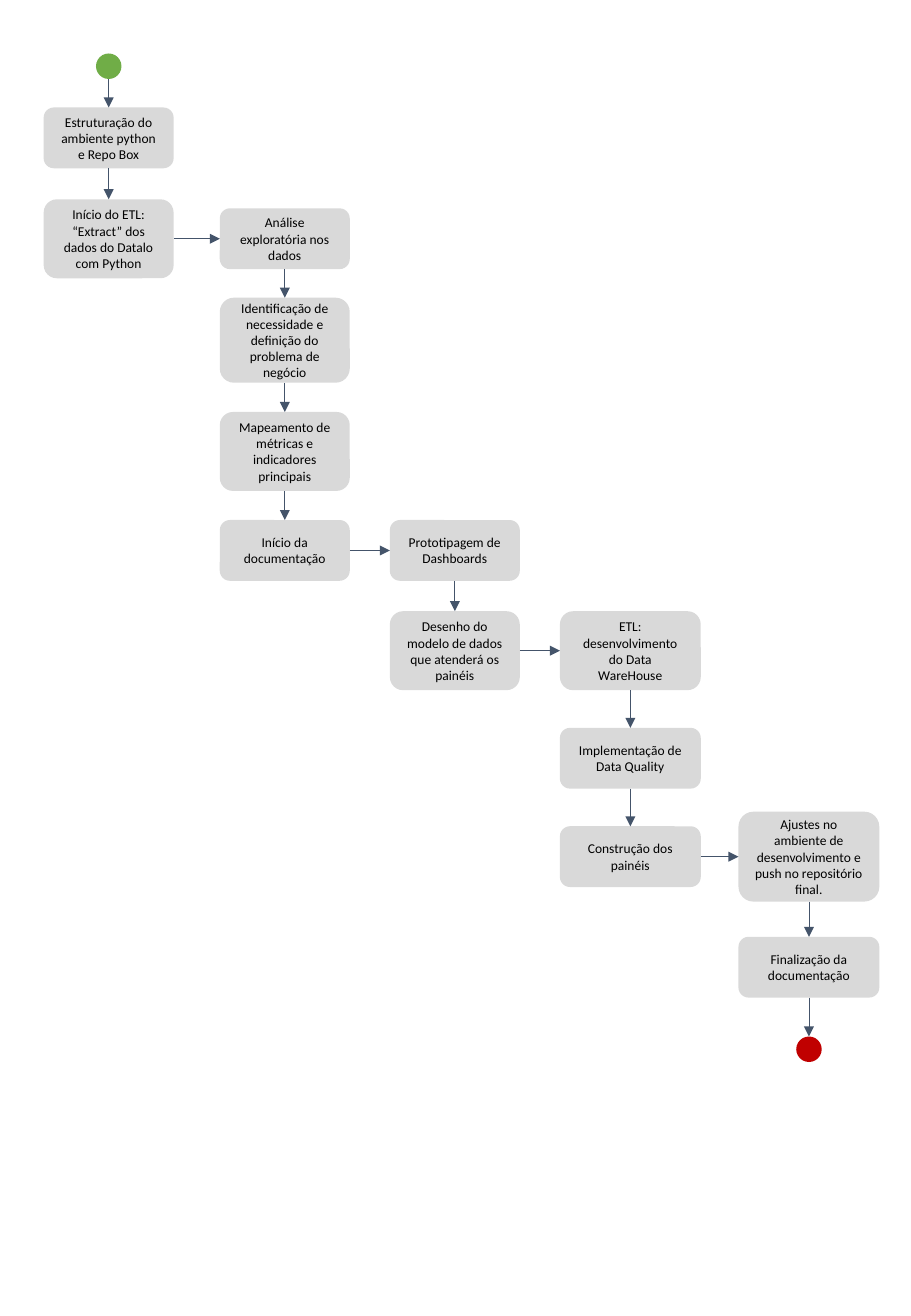
from lxml import etree
from pptx import Presentation, util as u
from pptx.dml.color import RGBColor
from pptx.enum import shapes, text
from pptx.oxml.ns import qn

COLOURS = {"start": "70AD47", "end": "C00000", "step": "D9D9D9", "arrow": "44546A", "text": "000000"}
EMU_PER_PX = 4572
TOP, LEFT, BOTTOM, RIGHT = range(4)
COLUMNS = [(72, 214), (362, 214), (642, 214), (922, 232), (1216, 232)]
DOT_SIZE = 42
STEPS = [
    (0, 177, 100, ["Estruturação do ambiente python e Repo Box"]),
    (0, 328, 130, ["Início do ETL:", "“Extract” dos dados do Datalo com Python"]),
    (1, 343, 100, ["Análise exploratória nos dados"]),
    (1, 490, 140, ["Identificação de necessidade e definição do problema de negócio"]),
    (1, 678, 130, ["Mapeamento de métricas e indicadores principais"]),
    (1, 856, 100, ["Início da documentação"]),
    (2, 856, 100, ["Prototipagem de Dashboards"]),
    (2, 1006, 130, ["Desenho do modelo de dados que atenderá os painéis"]),
    (3, 1006, 130, ["ETL: desenvolvimento do Data WareHouse"]),
    (3, 1198, 100, ["Implementação de Data Quality"]),
    (3, 1360, 100, ["Construção dos painéis"]),
    (4, 1336, 148, ["Ajustes no ambiente de desenvolvimento e push no repositório final."]),
    (4, 1542, 100, ["Finalização da documentação"]),
]


def px(length):
    return u.Emu(length * EMU_PER_PX)


class FlowSlide:
    font_name = "Calibri"
    font_size = u.Pt(8)
    line_width = u.Pt(0.5)

    def __init__(self, presentation):
        self.slide = presentation.slides.add_slide(presentation.slide_layouts[6])

    def colour(self, name):
        return RGBColor.from_string(COLOURS[name])

    def shape(self, kind, left, top, width, height, fill):
        shape = self.slide.shapes.add_shape(kind, px(left), px(top), px(width), px(height))
        shape.shadow.inherit = False
        shape.fill.solid()
        shape.fill.fore_color.rgb = self.colour(fill)
        shape.line.fill.background()
        return shape

    def dot(self, column, top, fill):
        left, width = COLUMNS[column]
        return self.shape(shapes.MSO_SHAPE.OVAL, left + (width - DOT_SIZE) // 2, top,
                          DOT_SIZE, DOT_SIZE, fill)

    def step(self, column, top, height, lines):
        left, width = COLUMNS[column]
        shape = self.shape(shapes.MSO_SHAPE.ROUNDED_RECTANGLE, left, top, width, height, "step")
        frame = shape.text_frame
        frame.word_wrap = True
        frame.vertical_anchor = text.MSO_ANCHOR.MIDDLE
        for index, line in enumerate(lines):
            paragraph = frame.add_paragraph() if index else frame.paragraphs[0]
            paragraph.alignment = text.PP_ALIGN.CENTER
            run = paragraph.add_run()
            run.text = line
            run.font.name = self.font_name
            run.font.size = self.font_size
            run.font.color.rgb = self.colour("text")
        return shape

    def arrow(self, source, target, sideways=False):
        x = source.left + source.width // 2
        connector = self.slide.shapes.add_connector(
            shapes.MSO_CONNECTOR.STRAIGHT, x, source.top + source.height, x, target.top)
        if source.auto_shape_type == shapes.MSO_SHAPE.ROUNDED_RECTANGLE:
            connector.begin_connect(source, RIGHT if sideways else BOTTOM)
        connector.end_connect(target, LEFT if sideways else TOP)
        connector.line.color.rgb = self.colour("arrow")
        connector.line.width = self.line_width
        etree.SubElement(connector.line._get_or_add_ln(), qn("a:tailEnd"), type="triangle")
        etree.SubElement(connector._element.spPr, qn("a:effectLst"))


def main():
    presentation = Presentation()
    presentation.slide_width = px(1500)
    presentation.slide_height = px(2166)
    flow = FlowSlide(presentation)

    start = flow.dot(0, 88, "start")
    boxes = [flow.step(*step) for step in STEPS]
    end = flow.dot(4, 1706, "end")

    flow.arrow(start, boxes[0])
    for index in range(len(boxes) - 1):
        sideways = STEPS[index][0] != STEPS[index + 1][0]
        flow.arrow(boxes[index], boxes[index + 1], sideways)
    flow.arrow(boxes[-1], end)

    presentation.save("out.pptx")


if __name__ == "__main__":
    main()
